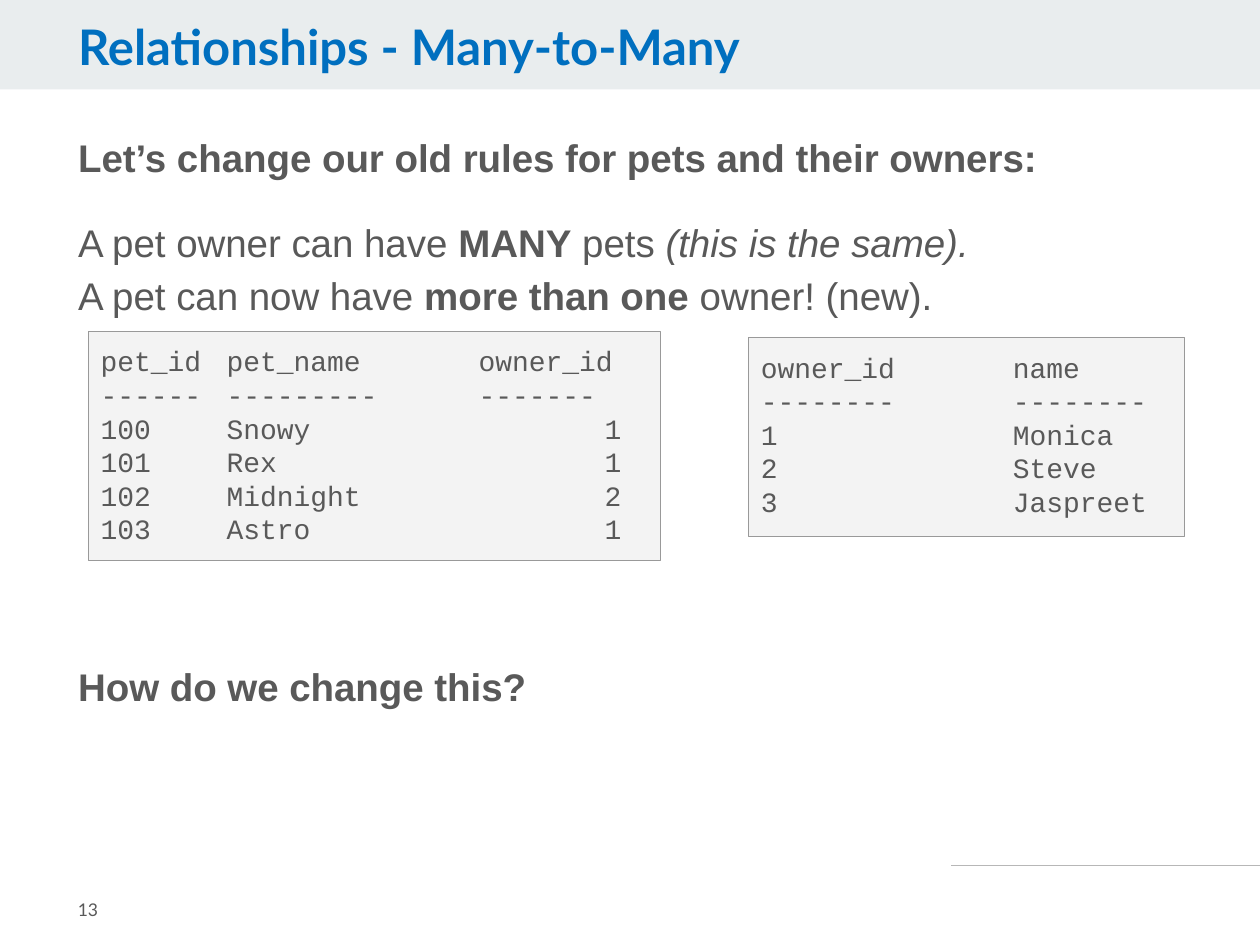
from pptx import Presentation
from pptx.dml.color import RGBColor
from pptx.enum.shapes import MSO_CONNECTOR as Connector, MSO_SHAPE as Shape
from pptx.enum.text import MSO_ANCHOR as Anchor, MSO_AUTO_SIZE as AutoSize, PP_ALIGN as Align
from pptx.oxml.ns import qn
from pptx.util import Inches, Pt
from lxml.etree import SubElement

WIDTH, HEIGHT = 10, 7.5
LEFT = 0.52  # shared left edge of title, body and page number
COLORS = {"title": "006FBF", "text": "595959", "band": "E9EDEE",
          "rule": "B7B7B7", "panel": "F3F3F3", "border": "999999"}

PETS = ["pet_id\tpet_name\towner_id", "------\t---------\t-------",
        "100\tSnowy\t1", "101\tRex\t1", "102\tMidnight\t2", "103\tAstro\t1"]
OWNERS = ["owner_id\tname", "--------\t--------",
          "1\tMonica", "2\tSteve", "3\tJaspreet"]

# Each paragraph: space before in points, then its lines of (text, style) spans
BODY = [
    (0, [[("Let’s change our old rules for pets and their owners:", "bold")]]),
    (18, [[("A pet owner can have ", ""), ("MANY", "bold"), (" pets ", ""),
           ("(this is the same). ", "italic")],
          [("A pet can now have ", ""), ("more than one ", "bold"),
           ("owner! (new).", "")]]),
    (193, [[("How do we change this?", "bold")]]),
]


def color(name):
    return RGBColor.from_string(COLORS[name])


def place(shape, box):
    shape.left, shape.top, shape.width, shape.height = map(Inches, box)


def style(span, font, size, tone="text", bold=False, italic=False):
    span.font.name, span.font.size = font, Pt(size)
    span.font.bold, span.font.italic = bold, italic
    span.font.color.rgb = color(tone)


def add_box(page, box, fill, border=None):
    shape = page.shapes.add_shape(Shape.RECTANGLE, *map(Inches, box))
    shape.shadow.inherit = False
    shape.fill.solid()
    shape.fill.fore_color.rgb = color(fill)
    if border:
        shape.line.color.rgb = color(border)
        shape.line.width = Pt(0.75)
    else:
        shape.line.fill.background()
    return shape


def set_margins(frame, inset):
    frame.margin_left = frame.margin_right = Inches(0.1)
    frame.margin_top = frame.margin_bottom = Inches(inset)


def add_title(page, box):
    # Header band goes behind the title
    title = page.shapes.title
    band = add_box(page, (0, 0, WIDTH, 0.71), "band")
    title.element.addprevious(band.element)
    place(title, box)
    frame = title.text_frame
    frame.text = "Relationships - Many-to-Many"
    frame.auto_size = AutoSize.NONE
    frame.vertical_anchor = Anchor.TOP
    set_margins(frame, 0.05)
    para = frame.paragraphs[0]
    para.alignment, para.line_spacing = Align.LEFT, 0.9
    style(para.runs[0], "Lato", 28, "title", bold=True)


def add_body(page, box):
    body = page.placeholders[1]
    place(body, box)
    frame = body.text_frame
    frame.auto_size = AutoSize.NONE
    set_margins(frame, 0.05)
    for index, (space, lines) in enumerate(BODY):
        para = frame.add_paragraph() if index else frame.paragraphs[0]
        para.line_spacing, para.space_before = 1.15, Pt(space)
        properties = para._p.get_or_add_pPr()
        properties.set("marL", "0")
        properties.set("indent", "0")
        SubElement(properties, qn("a:buNone"))
        for number, line in enumerate(lines):
            if number:
                para.add_line_break()
            for text, kind in line:
                span = para.add_run()
                span.text = text
                style(span, "Arial", 22, bold=kind == "bold", italic=kind == "italic")


def add_listing(page, box, rows, head_stops, row_stops):
    """Monospaced panel; the first two rows are the heading and its rule."""
    frame = add_box(page, box, "panel", "border").text_frame
    frame.word_wrap = True
    frame.vertical_anchor = Anchor.TOP
    set_margins(frame, 0.1)
    for index, row in enumerate(rows):
        para = frame.add_paragraph() if index else frame.paragraphs[0]
        para.text = row
        para.alignment = Align.LEFT
        tabs = SubElement(para._p.get_or_add_pPr(), qn("a:tabLst"))
        for stop in head_stops if index < 2 else row_stops:
            SubElement(tabs, qn("a:tab"), pos=str(Inches(stop)), algn="l")
        for span in para.runs:
            style(span, "Courier New", 16)


def add_footer(page, box):
    # Rule running off to the right edge
    rule = page.shapes.add_connector(
        Connector.STRAIGHT, *map(Inches, (7.55, 6.87, WIDTH, 6.87)))
    rule.line.color.rgb = color("rule")
    rule.line.width = Pt(0.75)
    SubElement(rule.element.spPr, qn("a:effectLst"))
    # Page number
    frame = page.shapes.add_textbox(*map(Inches, box)).text_frame
    frame.text = "13"
    frame.word_wrap = True
    frame.vertical_anchor = Anchor.MIDDLE
    set_margins(frame, 0.1)
    style(frame.paragraphs[0].runs[0], "Lato", 10)


def main():
    deck = Presentation()
    deck.slide_width, deck.slide_height = Inches(WIDTH), Inches(HEIGHT)
    page = deck.slides.add_slide(deck.slide_layouts[1])
    add_title(page, (LEFT, 0.13, 7.88, 0.55))
    add_body(page, (LEFT, 0.96, 9.08, 4.99))
    add_footer(page, (LEFT, 6.93, 1.23, 0.57))
    add_listing(page, (5.94, 2.68, 3.46, 1.58), OWNERS, [2], [2])
    add_listing(page, (0.7, 2.63, 4.54, 1.82), PETS, [1, 3], [1, 4])
    deck.save("out.pptx")


if __name__ == "__main__":
    main()
